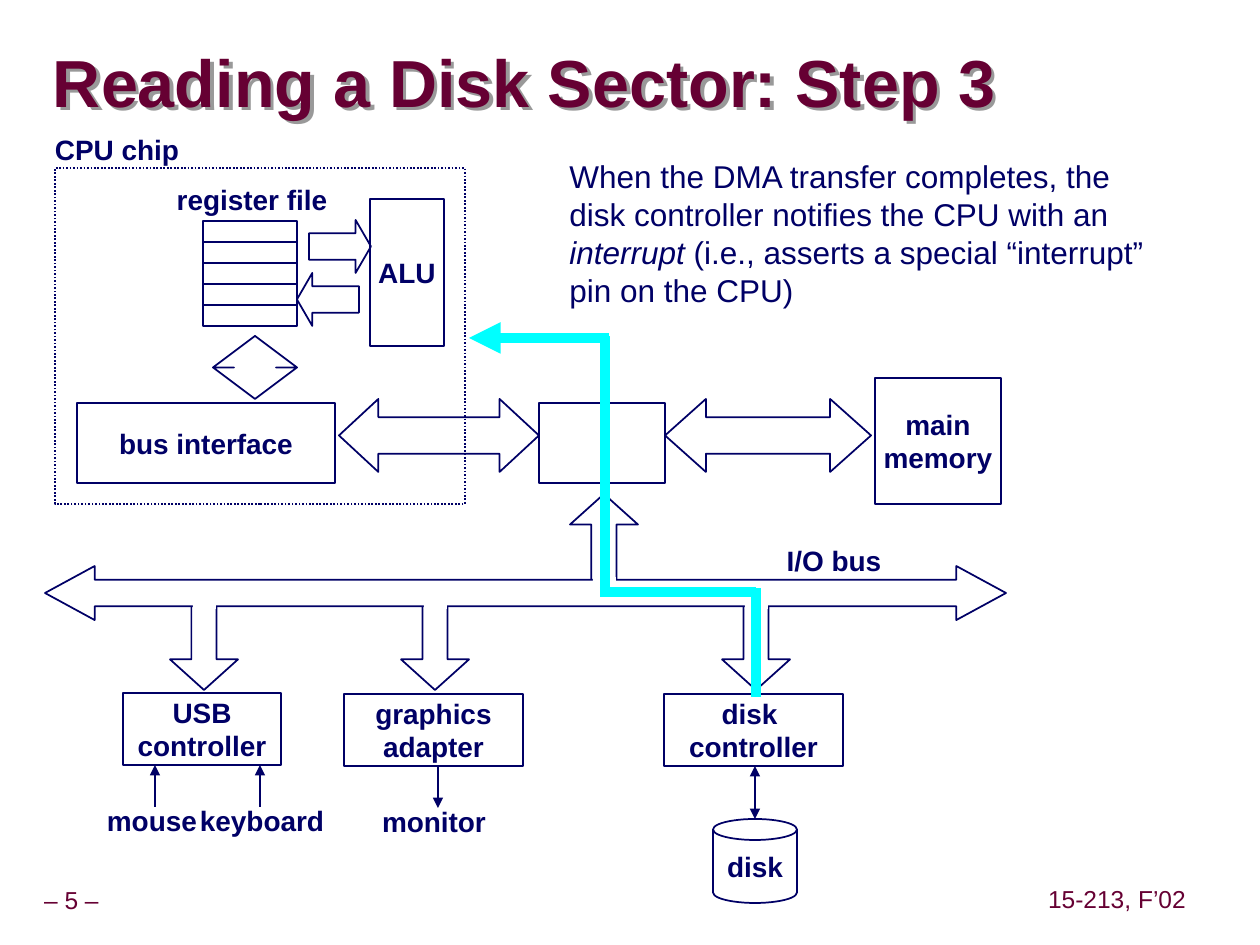
from lxml.etree import SubElement
from pptx import Presentation
from pptx.dml.color import RGBColor
from pptx.enum.dml import MSO_LINE
from pptx.enum.shapes import MSO_CONNECTOR, MSO_SHAPE
from pptx.enum.text import MSO_ANCHOR, PP_ALIGN
from pptx.oxml.ns import qn
from pptx.util import Emu, Pt

NAVY, MAROON, CYAN, WHITE = "000066", "660033", "00FFFF", "FFFFFF"
LABEL_WIDTH, LABEL_HEIGHT = 200, 47


def px(length):
    """Turn pixels, 126 to the inch, into EMU."""
    return Emu(round(length * 914400 / 126))


def color(value):
    """Turn a hex string into a colour."""
    return RGBColor.from_string(value)


def style(paragraph, size, value, bold=False, align=PP_ALIGN.CENTER):
    """Set the font and alignment of a paragraph."""
    paragraph.alignment = align
    font = paragraph.font
    font.name, font.size, font.bold = "Arial", Pt(size), bold
    font.color.rgb = color(value)


def write(frame, text, size=16, value=NAVY, bold=True):
    """Fill a frame with centred unwrapped lines."""
    frame.word_wrap = False
    frame.vertical_anchor = MSO_ANCHOR.MIDDLE
    for index, line in enumerate(text.split("\n")):
        paragraph = frame.paragraphs[0] if index == 0 else frame.add_paragraph()
        paragraph.text = line
        style(paragraph, size, value, bold)


def block(slide, kind, box, text="", adjust=(), fill=None, outline=NAVY):
    """Add an outlined preset shape."""
    shape = slide.shapes.add_shape(kind, *map(px, box))
    shape.shadow.inherit = False
    if fill:
        shape.fill.solid()
        shape.fill.fore_color.rgb = color(fill)
    else:
        shape.fill.background()
    if outline:
        shape.line.color.rgb = color(outline)
        shape.line.width = Pt(1)
    else:
        shape.line.fill.background()
    for index, value in enumerate(adjust):
        shape.adjustments[index] = value
    if text:
        write(shape.text_frame, text)
    return shape


def label(slide, center, top, text):
    """Add a bold label centred on a column."""
    box = (center - LABEL_WIDTH // 2, top, LABEL_WIDTH, LABEL_HEIGHT)
    write(slide.shapes.add_textbox(*map(px, box)).text_frame, text)


def wire(slide, start, end, value=NAVY, width=1, heads=()):
    """Add a straight line with triangles at the named ends."""
    line = slide.shapes.add_connector(MSO_CONNECTOR.STRAIGHT, *map(px, (*start, *end)))
    line.line.color.rgb = color(value)
    line.line.width = Pt(width)
    stroke = line.line._get_or_add_ln()
    for head in heads:
        SubElement(stroke, qn(f"a:{head}"), type="triangle")
    SubElement(line._element.spPr, qn("a:effectLst"))


def add_title(slide, box, text):
    """Format the title and give its letters a shadow."""
    title = slide.shapes.title
    title.left, title.top, title.width, title.height = map(px, box)
    title.fill.background()
    frame = title.text_frame
    frame.text = text
    frame.margin_left = frame.margin_right = frame.margin_top = frame.margin_bottom = 0
    frame.vertical_anchor = MSO_ANCHOR.MIDDLE
    paragraph = frame.paragraphs[0]
    paragraph.line_spacing = 0.87
    style(paragraph, 38, MAROON, True, PP_ALIGN.LEFT)
    effects = SubElement(title._element.spPr, qn("a:effectLst"))
    shadow = SubElement(effects, qn("a:outerShdw"), dist="38100", dir="2700000")
    SubElement(shadow, qn("a:srgbClr"), val="999999")


def add_explanation(slide, box):
    """Explain the interrupt in running text."""
    frame = slide.shapes.add_textbox(*map(px, box)).text_frame
    frame.word_wrap = True
    paragraph = frame.paragraphs[0]
    paragraph.add_run().text = (
        "When the DMA transfer completes, the disk controller notifies the CPU with an ")
    term = paragraph.add_run()
    term.text = "interrupt"
    term.font.italic = True
    paragraph.add_run().text = " (i.e., asserts a special “interrupt” pin on the CPU)"
    style(paragraph, 18, NAVY, align=PP_ALIGN.LEFT)


def add_cpu_chip(slide, box):
    """Draw the chip with its register file, ALU and bus interface."""
    left, top, _, _ = box
    row_height = 21
    for row in range(5):
        block(slide, MSO_SHAPE.RECTANGLE,
              (left + 148, top + 53 + row * row_height, 94, row_height))
    block(slide, MSO_SHAPE.RIGHT_ARROW, (left + 254, top + 52, 62, 53), adjust=(0.5, 0.29))
    block(slide, MSO_SHAPE.LEFT_ARROW, (left + 242, top + 105, 62, 53), adjust=(0.5, 0.29))
    block(slide, MSO_SHAPE.RECTANGLE, (left + 315, top + 31, 74, 147), "ALU")
    block(slide, MSO_SHAPE.UP_DOWN_ARROW, (left + 158, top + 168, 84, 63), adjust=(0.2, 0.5))
    block(slide, MSO_SHAPE.RECTANGLE, (left + 22, top + 235, 258, 80), "bus interface")
    block(slide, MSO_SHAPE.RECTANGLE, box).line.dash_style = MSO_LINE.ROUND_DOT
    label(slide, left + 62, top - 42, "CPU chip")
    label(slide, left + 197, top + 8, "register file")


def add_memory_path(slide, box):
    """Draw the buses from the chip through the bridge to main memory."""
    left, top, width, height = box
    block(slide, MSO_SHAPE.LEFT_RIGHT_ARROW, (left, top + 21, 200, 73), adjust=(0.5, 0.54))
    block(slide, MSO_SHAPE.RECTANGLE, (left + 200, top + 25, 126, 80))
    block(slide, MSO_SHAPE.LEFT_RIGHT_ARROW, (left + 326, top + 21, 206, 73), adjust=(0.5, 0.56))
    block(slide, MSO_SHAPE.RECTANGLE, (left + width - 126, top, 126, height), "main\nmemory")


def add_io_bus(slide, box, bridge, devices):
    """Draw the I/O bus and open it where its branches join."""
    left, top, width, _ = box
    branch_width, branch_height, gap = 68, 95, 23
    branches = [(MSO_SHAPE.UP_ARROW, bridge, -72, 11)]
    branches += [(MSO_SHAPE.DOWN_ARROW, device, 29, 21) for device in devices]
    for kind, center, offset, _ in branches:
        block(slide, kind, (center - branch_width // 2, top + offset, branch_width, branch_height),
              adjust=(0.37, 0.45))
    block(slide, MSO_SHAPE.LEFT_RIGHT_ARROW, box, adjust=(0.49, 0.92), fill=WHITE)
    for _, center, _, offset in branches:
        block(slide, MSO_SHAPE.RECTANGLE, (center - gap // 2, top + offset, gap, 22),
              fill=WHITE, outline=None)
    label(slide, left + width - 172, top - 29, "I/O bus")


def add_device(slide, box, name, peripherals, head):
    """Draw a controller and the peripherals wired below it."""
    left, top, _, height = box
    block(slide, MSO_SHAPE.RECTANGLE, box, name)
    for text, wire_offset, text_offset in peripherals:
        x, bottom = left + wire_offset, top + height
        wire(slide, (x, bottom), (x, bottom + 42), heads=(head,))
        label(slide, left + text_offset, bottom + 32, text)


def add_disk(slide, box):
    """Draw the disk and its controller."""
    left, top, width, height = box
    center, disk_size = left + width // 2 + 2, 84
    disk_top = top + height + 53
    block(slide, MSO_SHAPE.RECTANGLE, box, "disk \ncontroller")
    wire(slide, (center, top + height), (center, disk_top), heads=("headEnd", "tailEnd"))
    block(slide, MSO_SHAPE.CAN, (center - disk_size // 2, disk_top, disk_size, disk_size),
          "disk", (0.25,))


def add_interrupt(slide, box):
    """Trace the interrupt from the disk controller to the chip."""
    left, top, width, height = box
    right, bottom, bridge, bus = left + width, top + height, left + 136, top + 254
    wire(slide, (bridge + 4, top), (left, top), CYAN, 6, ("tailEnd",))
    wire(slide, (bridge, top - 2), (bridge, bus - 4), CYAN, 6)
    wire(slide, (bridge - 5, bus), (right, bus), CYAN, 6)
    wire(slide, (right, bus - 4), (right, bottom), CYAN, 6)


def add_footer(slide, box, text):
    """Write one footer entry."""
    frame = slide.shapes.add_textbox(*map(px, box)).text_frame
    frame.margin_left = frame.margin_right = px(6)
    write(frame, text, 14, MAROON, False)
    frame.paragraphs[0].line_spacing = 0.9


def main():
    """Build and save the slide."""
    deck = Presentation()
    deck.slide_width, deck.slide_height = px(1260), px(945)
    slide = deck.slides.add_slide(deck.slide_layouts[5])
    add_footer(slide, (-11, 882, 165, 39), "– 5 –")
    add_footer(slide, (1037, 881, 160, 39), "15-213, F’02")
    add_title(slide, (53, 47, 959, 79), "Reading a Disk Sector: Step 3")
    add_cpu_chip(slide, (55, 168, 410, 336))
    add_memory_path(slide, (339, 378, 662, 126))
    add_io_bus(slide, (45, 566, 961, 54), 604, (204, 435, 756))
    add_device(slide, (123, 693, 158, 72), "USB\ncontroller",
               (("mouse", 32, 29), ("keyboard", 137, 139)), "headEnd")
    add_device(slide, (344, 694, 179, 72), "graphics\nadapter",
               (("monitor", 94, 90),), "tailEnd")
    add_disk(slide, (664, 694, 179, 72))
    add_interrupt(slide, (469, 338, 287, 359))
    add_explanation(slide, (557, 151, 606, 164))
    deck.save("out.pptx")


if __name__ == "__main__":
    main()
